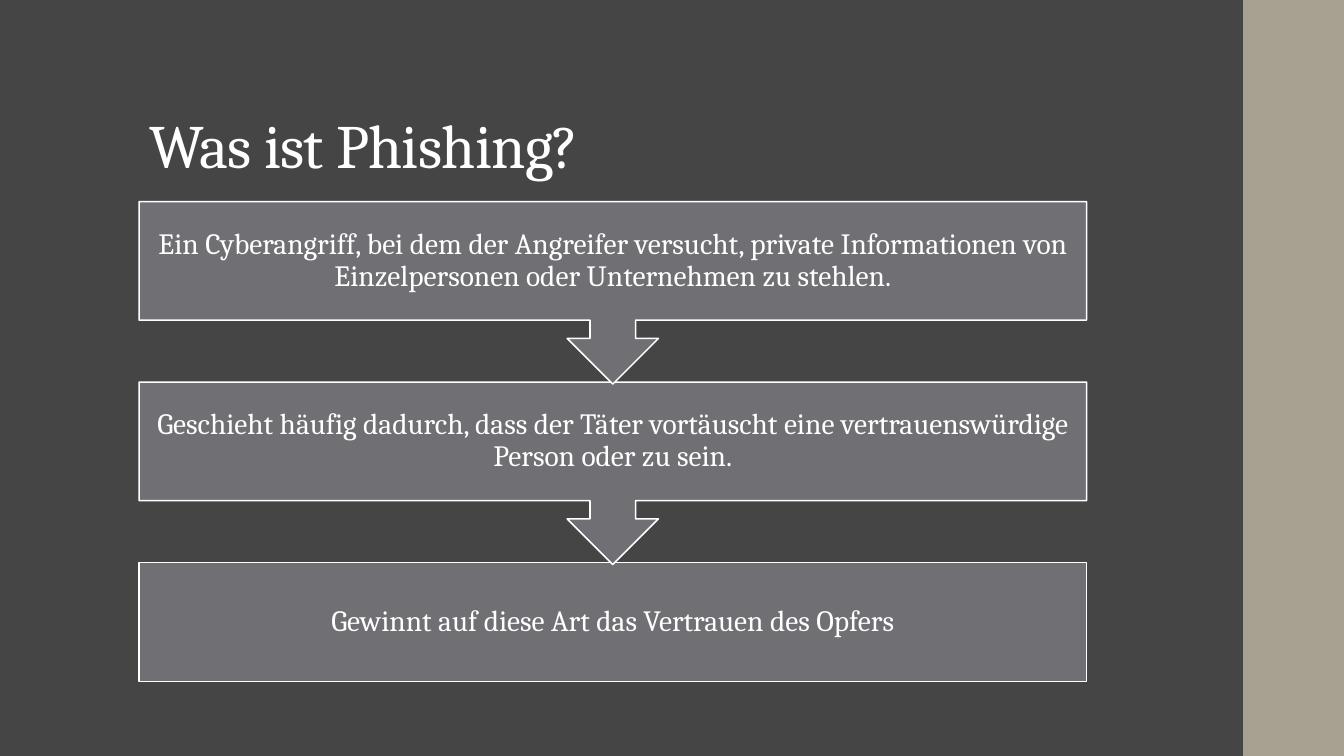
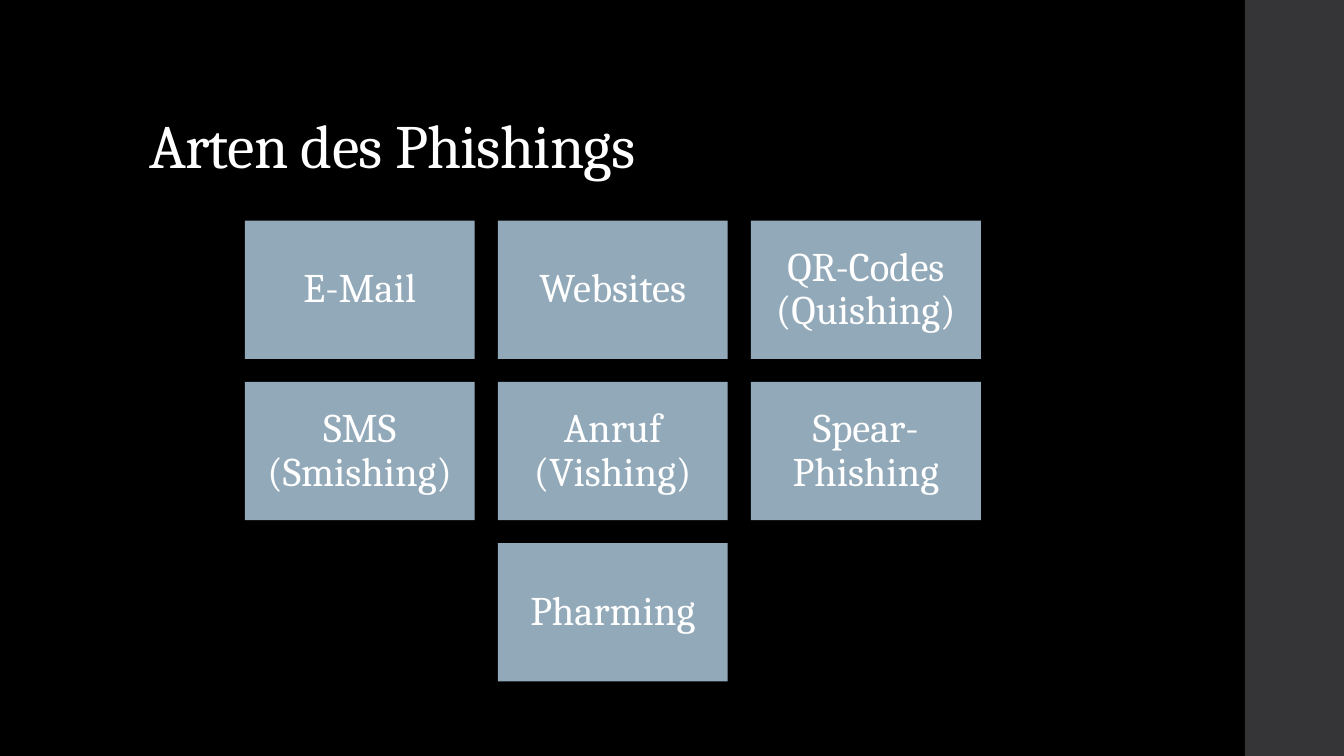
from pptx import Presentation
from pptx.dml.color import RGBColor
from pptx.enum.shapes import MSO_SHAPE
from pptx.enum.text import MSO_ANCHOR, PP_ALIGN
from pptx.util import Inches, Pt

RECTANGLE = MSO_SHAPE.RECTANGLE
CALLOUT = MSO_SHAPE.DOWN_ARROW_CALLOUT
MIDDLE, BOTTOM = MSO_ANCHOR.MIDDLE, MSO_ANCHOR.BOTTOM
CENTER, LEFT = PP_ALIGN.CENTER, PP_ALIGN.LEFT

COLORS = {
    "white": "FFFFFF",
    "black": "000000",
    "slate": "454545",
    "sand": "A7A192",
    "charcoal": "353537",
    "step": "6F6F74",
    "tile": "92A9B9",
}

STEPS = [
    "Ein Cyberangriff, bei dem der Angreifer versucht, private Informationen von "
    "Einzelpersonen oder Unternehmen zu stehlen.",
    "Geschieht häufig dadurch, dass der Täter vortäuscht eine vertrauenswürdige "
    "Person oder zu sein.",
    "Gewinnt auf diese Art das Vertrauen des Opfers",
]

KINDS = [
    ["E-Mail", "Websites", "QR-Codes (Quishing)"],
    ["SMS (Smishing)", "Anruf (Vishing)", "Spear-Phishing"],
    ["Pharming"],
]


class Deck:
    FONT = "Cambria"
    CENTER_X = 45.6

    def __init__(self):
        self.prs = Presentation()
        self.prs.slide_width = Inches(13.33)
        self.prs.slide_height = Inches(7.5)
        self.slide = None

    def area(self, left, top, width, height):
        """Turn percentages of the slide's size into lengths."""
        across, down = self.prs.slide_width / 100, self.prs.slide_height / 100
        return (round(left * across), round(top * down),
                round(width * across), round(height * down))

    def new_slide(self, title, background, band, band_left):
        self.slide = self.prs.slides.add_slide(self.prs.slide_layouts[6])
        fill = self.slide.background.fill
        fill.solid()
        fill.fore_color.rgb = RGBColor.from_string(COLORS[background])
        self.block(RECTANGLE, (band_left, 0, 100 - band_left, 100), band)
        self.title(title)

    def title(self, text):
        heading = self.slide.shapes.add_textbox(*self.area(10.35, 5.33, 79.5, 19.33))
        for run in self.set_text(heading, text, 44, LEFT, BOTTOM):
            run._r.get_or_add_rPr().set("spc", "-50")

    def set_text(self, shape, text, size, align, anchor):
        frame = shape.text_frame
        frame.word_wrap = True
        frame.vertical_anchor = anchor
        frame.text = text
        paragraph = frame.paragraphs[0]
        paragraph.alignment = align
        paragraph.line_spacing = 0.9
        for run in paragraph.runs:
            run.font.name = self.FONT
            run.font.size = Pt(size)
            run.font.color.rgb = RGBColor.from_string(COLORS["white"])
        return paragraph.runs

    def block(self, preset, place, fill, outline=None):
        shape = self.slide.shapes.add_shape(preset, *self.area(*place))
        shape.shadow.inherit = False
        shape.fill.solid()
        shape.fill.fore_color.rgb = RGBColor.from_string(COLORS[fill])
        if outline:
            shape.line.color.rgb = RGBColor.from_string(COLORS[outline])
            shape.line.width = Pt(1.1)
        else:
            shape.line.fill.background()
        return shape

    def labelled(self, shape, text, size, inset):
        frame = shape.text_frame
        frame.margin_left = frame.margin_right = Inches(inset)
        frame.margin_top = frame.margin_bottom = Inches(inset)
        self.set_text(shape, text, size, CENTER, MIDDLE)

    def step_chain(self, steps, top=26.67, width=70.5, height=15.73,
                   callout_height=24.13, pitch=23.87):
        left = self.CENTER_X - width / 2
        last = len(steps) - 1
        for row in range(last, -1, -1):
            preset, depth = (RECTANGLE, height) if row == last else (CALLOUT, callout_height)
            place = (left, top + row * pitch, width, depth)
            self.labelled(self.block(preset, place, "step", "white"), steps[row], 21, 0.15)

    def tile_grid(self, rows, top=29.2, width=17.1, height=18.27,
                  column_pitch=18.83, row_pitch=21.33):
        for row, names in enumerate(rows):
            first = self.CENTER_X - width / 2 - (len(names) - 1) * column_pitch / 2
            for column, name in enumerate(names):
                place = (first + column * column_pitch, top + row * row_pitch, width, height)
                self.labelled(self.block(RECTANGLE, place, "tile"), name, 29, 0.12)


def main():
    deck = Deck()
    deck.new_slide("Was ist Phishing?", "slate", "sand", 92.5)
    deck.step_chain(STEPS)
    deck.new_slide("Arten des Phishings", "black", "charcoal", 92.63)
    deck.tile_grid(KINDS)
    deck.prs.save("out.pptx")


if __name__ == "__main__":
    main()
